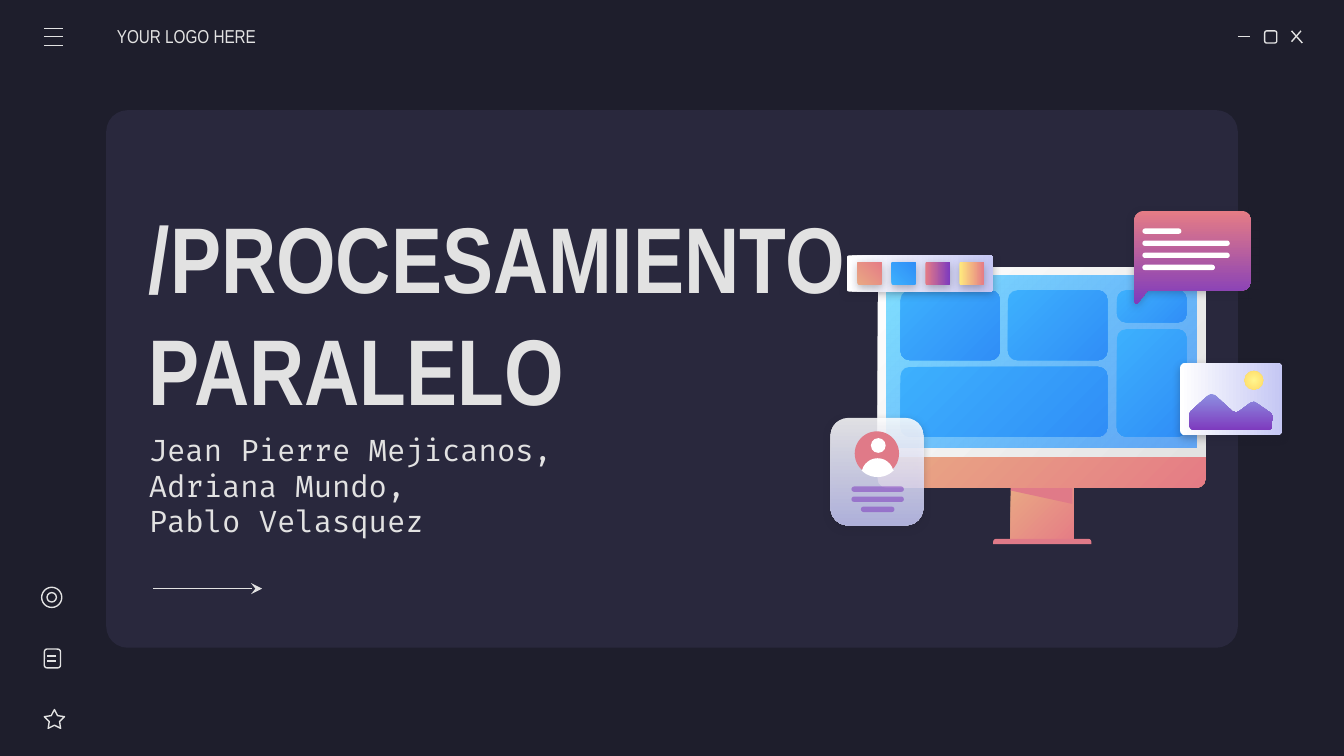
from math import cos, radians, sin

from lxml import etree
from pptx import Presentation
from pptx.dml.color import RGBColor
from pptx.enum.shapes import MSO_CONNECTOR, MSO_SHAPE
from pptx.enum.text import MSO_ANCHOR
from pptx.oxml.ns import qn
from pptx.util import Inches, Pt

ROUND = MSO_SHAPE.ROUNDED_RECTANGLE
ROUND_PAIR = MSO_SHAPE.ROUND_2_SAME_RECTANGLE
RECT = MSO_SHAPE.RECTANGLE
OVAL = MSO_SHAPE.OVAL
STAR = MSO_SHAPE.STAR_5_POINT
STRAIGHT = MSO_CONNECTOR.STRAIGHT
MIDDLE = MSO_ANCHOR.MIDDLE

NIGHT = RGBColor(0x1E, 0x1E, 0x2C)
PANEL = RGBColor(0x29, 0x28, 0x3D)
LIGHT = RGBColor(0xE2, 0xE2, 0xE2)
WHITE = RGBColor(0xFF, 0xFF, 0xFF)
LILAC = RGBColor(0xC5, 0xC7, 0xF4)
PEACH = RGBColor(0xE9, 0xA9, 0x84)
CORAL = RGBColor(0xE5, 0x7C, 0x85)
ROSE = RGBColor(0xE0, 0x7A, 0x88)
PURPLE = RGBColor(0x7E, 0x3B, 0xBE)
PERIWINKLE = RGBColor(0x8D, 0x90, 0xE1)
CYAN = RGBColor(0x80, 0xDF, 0xFF)
AZURE = RGBColor(0x31, 0x8F, 0xFA)
SKY = RGBColor(0x3D, 0xB0, 0xFD)
BLUE = RGBColor(0x30, 0x8E, 0xF7)
YELLOW = RGBColor(0xFF, 0xEA, 0x7D)
LEMON = RGBColor(0xFF, 0xF6, 0x8E)
GOLD = RGBColor(0xFF, 0xD9, 0x66)

prs = Presentation()
prs.slide_width, prs.slide_height = Inches(10), Inches(10) * 9 // 16
slide = prs.slides.add_slide(prs.slide_layouts[6])
slide.background.fill.solid()
slide.background.fill.fore_color.rgb = NIGHT
shapes = slide.shapes


def arc(x, y, radius, start, end):
    """Points along a circle, in inches; angles run clockwise from the right."""
    angles = [radians(start + (end - start) * i / 12) for i in range(13)]
    return [(x + radius * cos(a), y + radius * sin(a)) for a in angles]


def draw(form, colors, box=None, adj=(), angle=0, alphas=(), shadow=False):
    """Draw a preset in box, or a list of points, filled with one or two colors."""
    if box:
        shape = shapes.add_shape(form, *map(Inches, box))
        for i, value in enumerate(adj):
            shape.adjustments[i] = value
    else:
        points = [(Inches(x), Inches(y)) for x, y in form]
        builder = shapes.build_freeform(*points[0])
        builder.add_line_segments(points[1:])
        shape = builder.convert_to_shape()
    if len(colors) == 1:
        shape.fill.solid()
        shape.fill.fore_color.rgb = colors[0]
    else:
        shape.fill.gradient()
        shape.fill.gradient_angle = -angle % 360
        for stop, color in zip(shape.fill.gradient_stops, colors):
            stop.color.rgb = color
    for color, alpha in zip(shape.element.spPr.iter(qn("a:srgbClr")), alphas):
        etree.SubElement(color, qn("a:alpha"), val=str(alpha * 1000))
    shape.line.fill.background()
    shape.shadow.inherit = False
    if shadow:
        effects = shape.element.spPr.find(qn("a:effectLst"))
        outer = etree.SubElement(effects, qn("a:outerShdw"), blurRad=str(Pt(4.5)),
                                 dist=str(Pt(1.5)), dir="5400000", algn="bl", rotWithShape="0")
        tint = etree.SubElement(outer, qn("a:srgbClr"), val=str(NIGHT))
        etree.SubElement(tint, qn("a:alpha"), val="30000")
    return shape


draw(ROUND, [PANEL], (0.79, 0.82, 8.42, 4), [0.04])

# Texts
for box, left_inset, font_name, size, bold, lines in [
    ((1.01, 3.38, 3.24, 0.46), 0.1, "Fira Code", 16, False,
     ["Jean Pierre Mejicanos, Adriana Mundo,", "Pablo Velasquez"]),
    ((0.87, 0.12, 1.17, 0.3), 0, "Arial Narrow", 10, False, ["YOUR LOGO HERE"]),
    ((1.01, 1.44, 5.43, 1.76), 0.1, "Arial Narrow", 50, True, ["/PROCESAMIENTO", "PARALELO"]),
]:
    frame = shapes.add_textbox(*map(Inches, box)).text_frame
    frame.word_wrap = True
    frame.vertical_anchor = MIDDLE
    frame.margin_left = Inches(left_inset)
    frame.margin_top = frame.margin_right = frame.margin_bottom = Inches(0.1)
    frame.text = "\n".join(lines)
    for paragraph in frame.paragraphs:
        paragraph.font.name = font_name
        paragraph.font.size = Pt(size)
        paragraph.font.bold = bold
        paragraph.font.color.rgb = LIGHT

# Monitor
draw(RECT, [PEACH, CORAL], (7.52, 3.61, 0.47, 0.43), angle=45)
draw(ROUND_PAIR, [ROSE], (7.39, 4.01, 0.73, 0.04), [0.5, 0])
draw([(7.52, 3.62), (7.52, 3.65), (7.98, 3.75), (7.98, 3.62)], [ROSE])
draw(ROUND_PAIR, [PEACH, CORAL], (6.53, 3.39, 2.44, 0.24), [0, 0.29], angle=45)
draw(ROUND_PAIR, [WHITE, LIGHT], (6.53, 1.99, 2.44, 1.41), [0.05, 0], angle=45)
draw(RECT, [CYAN, AZURE], (6.6, 2.05, 2.3, 1.28), angle=45, alphas=(100, 72))
for tile in [(6.7, 2.16, 0.74, 0.52), (6.7, 2.73, 1.54, 0.52), (7.5, 2.16, 0.74, 0.52),
             (8.31, 2.16, 0.52, 0.24), (8.31, 2.45, 0.52, 0.8)]:
    draw(ROUND, [SKY, BLUE], tile, [0.07 / min(tile[2:])], angle=45)

# Speech bubble
bubble = (arc(8.51, 1.64, 0.07, 180, 270) + arc(9.24, 1.64, 0.07, 270, 360)
          + arc(9.24, 2.09, 0.07, 0, 90)
          + [(8.54, 2.16), (8.47, 2.25), (8.46, 2.26), (8.45, 2.26), (8.44, 2.24)])
draw(bubble, [CORAL, PURPLE], angle=90, shadow=True)
for row, width in enumerate([0.29, 0.65, 0.65, 0.54]):
    draw(ROUND, [WHITE], (8.5, 1.7 + 0.09 * row, width, 0.04), [0.5])

# Profile card
draw(ROUND, [WHITE, LILAC], (6.18, 3.11, 0.69, 0.8), [0.19], 90, (86, 86), True)
draw(OVAL, [ROSE], (6.36, 3.21, 0.33, 0.33))
draw(OVAL, [WHITE], (6.48, 3.26, 0.11, 0.11))
draw(arc(6.53, 3.53, 0.12, 195, 345) + arc(6.53, 3.38, 0.17, 45, 135), [WHITE])
for row, width in enumerate([0.39, 0.39, 0.25]):
    draw(ROUND, [PURPLE], (6.53 - width / 2, 3.62 + 0.075 * row, width, 0.04), [0.5], alphas=[54])

# Photo card
draw(ROUND, [WHITE, LILAC], (8.78, 2.7, 0.76, 0.54), [0.07], shadow=True)
mountains = [(8.85, 3.08), (8.86, 3.06), (8.98, 2.95), (9.01, 2.93), (9.04, 2.94),
             (9.17, 3.06), (9.2, 3.07), (9.22, 3.06), (9.3, 3), (9.33, 2.99), (9.35, 3),
             (9.45, 3.07), (9.47, 3.09)]
mountains += arc(9.43, 3.16, 0.04, 0, 90) + arc(8.89, 3.16, 0.04, 90, 180)
draw(mountains, [PERIWINKLE, PURPLE], angle=90)
sun = draw(OVAL, [LEMON, GOLD], (9.26, 2.76, 0.14, 0.14))
gradient = sun.element.spPr.find(qn("a:gradFill"))
gradient.remove(gradient.find(qn("a:lin")))
radial = etree.SubElement(gradient, qn("a:path"), path="circle")
etree.SubElement(radial, qn("a:fillToRect"), l="50000", t="50000", r="50000", b="50000")

# Colour palette
draw(ROUND, [WHITE, LILAC], (6.3, 1.9, 1.09, 0.27), [0.07], shadow=True)
for i, (colors, angle) in enumerate([([PEACH, CORAL], 315), ([SKY, BLUE], 315),
                                     ([CORAL, PURPLE], 0), ([YELLOW, CORAL], 0)]):
    draw(ROUND, colors, (6.38 + 0.253 * i, 1.95, 0.18, 0.17), [0.07], angle, shadow=True)

# Outlined icons: maximise, star, document, target
for preset, box in [(ROUND, (9.41, 0.23, 0.09, 0.09)), (STAR, (0.33, 5.28, 0.15, 0.14)),
                    (ROUND, (0.33, 4.83, 0.12, 0.14)), (OVAL, (0.31, 4.37, 0.15, 0.15)),
                    (OVAL, (0.35, 4.41, 0.07, 0.07))]:
    icon = shapes.add_shape(preset, *map(Inches, box))
    icon.shadow.inherit = False
    icon.fill.background()
    icon.line.color.rgb = LIGHT
    icon.line.width = Pt(0.75)
    if preset == STAR:
        icon.adjustments[0] = 0.254

# Strokes: minimise, close, menu, document lines, arrow last
for ends in [(9.21, 0.27, 9.3, 0.27), (9.61, 0.23, 9.69, 0.32), (9.68, 0.23, 9.61, 0.31),
             (0.33, 0.21, 0.47, 0.21), (0.33, 0.27, 0.47, 0.27), (0.33, 0.34, 0.47, 0.34),
             (0.35, 4.88, 0.42, 4.88), (0.35, 4.92, 0.42, 4.92), (1.14, 4.38, 1.95, 4.38)]:
    stroke = shapes.add_connector(STRAIGHT, *map(Inches, ends))
    stroke.line.color.rgb = LIGHT
    stroke.line.width = Pt(0.75)
    etree.SubElement(stroke.element.spPr, qn("a:effectLst"))
arrow_line = stroke.element.spPr.find(qn("a:ln"))
etree.SubElement(arrow_line, qn("a:tailEnd"), type="stealth")

prs.save("out.pptx")
